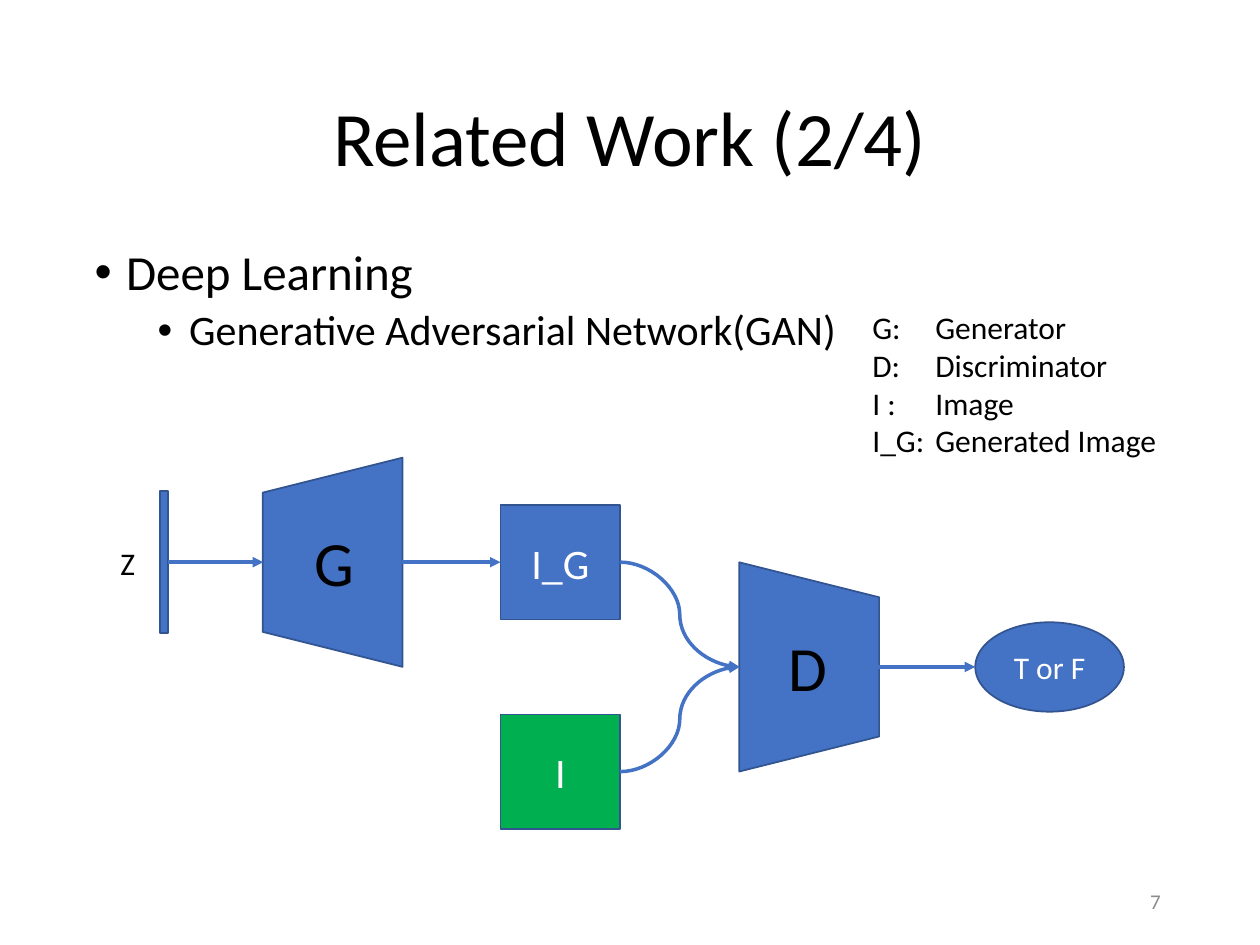
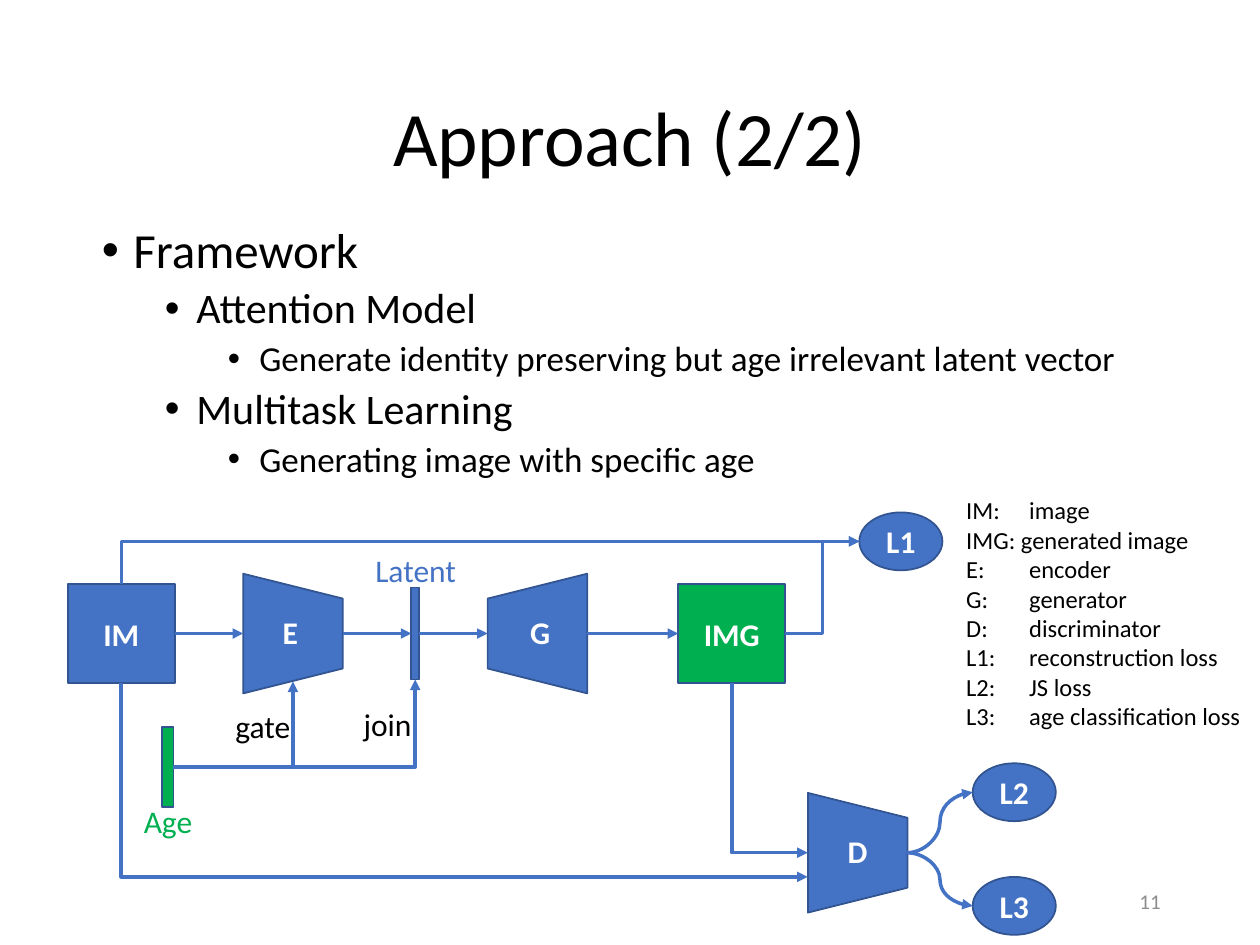
"""Build two slides on generative networks: related work and approach."""
import pptx
import pptx.dml.color
import pptx.enum.shapes
import pptx.enum.text
import pptx.oxml.ns
import pptx.util
from lxml import etree

COLORS = {"blue": "4472C4", "edge": "325491", "green": "00B050",
          "black": "000000", "white": "FFFFFF", "gray": "8C8C8C"}
FONT = "Calibri"
COLS, ROWS = 100, 75
WIDE, HIGH = pptx.util.Inches(10), pptx.util.Inches(7.5)
LEVELS = [28, 24, 20]
TOP, LEFT, BOTTOM, RIGHT = range(4)
OVAL_LEFT = 2
TURNS = {TOP: {"rot": "5400000", "flipH": "1", "flipV": "1"},
         BOTTOM: {"rot": "16200000", "flipH": "1"}}
KIND = pptx.enum.shapes.MSO_SHAPE
LINK = pptx.enum.shapes.MSO_CONNECTOR
ALIGN = pptx.enum.text.PP_ALIGN
ANCHOR = pptx.enum.text.MSO_ANCHOR


def col(count):
    return round(WIDE * count / COLS)


def row(count):
    return round(HIGH * count / ROWS)


def rgb(name):
    return pptx.dml.color.RGBColor.from_string(COLORS[name])


def add(parent, tag, **attrs):
    return etree.SubElement(parent, pptx.oxml.ns.qn(tag), **attrs)


def style(par, size, color, bold=False, align=ALIGN.LEFT):
    par.alignment = align
    par.font.name = FONT
    par.font.size = pptx.util.Pt(size)
    par.font.bold = bold
    par.font.color.rgb = rgb(color)


def frame(slide, x, y, w, h, anchor=ANCHOR.TOP):
    box = slide.shapes.add_textbox(col(x), row(y), col(w), row(h))
    box.text_frame.word_wrap = True
    box.text_frame.vertical_anchor = anchor
    return box.text_frame


def fill(text, lines):
    text.text = "\n".join(lines)
    return text.paragraphs


def label(slide, words, x, y, w, size=18, color="black", bold=False):
    text = frame(slide, x, y, w, size * 0.22)
    style(fill(text, [words])[0], size, color, bold)


def legend(slide, lines, x, y, w, h, size):
    for par in fill(frame(slide, x, y, w, h), lines):
        tabs = add(par._p.get_or_add_pPr(), "a:tabLst")
        add(tabs, "a:tab", pos=str(col(5)), algn="l")
        style(par, size, "black")


def bullets(slide, items, x, y):
    text = frame(slide, x, y, 86.2, 47.6)
    pars = fill(text, [words for _, words in items])
    for place, (par, (level, _)) in enumerate(zip(pars, items)):
        props = par._p.get_or_add_pPr()
        props.set("marL", str(col(2.5 + 5 * level)))
        props.set("indent", str(-col(2.5)))
        add(props, "a:buFont", typeface="Arial")
        add(props, "a:buChar", char="•")
        par.level = level
        par.line_spacing = 0.9
        par.space_before = pptx.util.Pt(5 if place else 0)
        style(par, LEVELS[level], "black")


def page(deck, title, number):
    slide = deck.slides.add_slide(deck.slide_layouts[6])
    head = fill(frame(slide, 6.9, 4, 86.2, 14.5, ANCHOR.MIDDLE), [title])[0]
    head.line_spacing = 0.9
    style(head, 44, "black", align=ALIGN.CENTER)
    foot = frame(slide, 70.6, 69.5, 22.5, 4, ANCHOR.MIDDLE)
    style(fill(foot, [str(number)])[0], 12, "gray", align=ALIGN.RIGHT)
    return slide


def node(slide, kind, x, y, w, h, words="", color="blue", size=18, bold=False):
    """Draw a shape centred on a grid point."""
    shape = slide.shapes.add_shape(
        kind, col(x - w / 2), row(y - h / 2), col(w), row(h))
    shape.shadow.inherit = False
    shape.fill.solid()
    shape.fill.fore_color.rgb = rgb(color)
    shape.line.color.rgb = rgb("edge")
    shape.line.width = pptx.util.Pt(1)
    if words:
        text = shape.text_frame
        text.margin_left = text.margin_right = 0
        text.word_wrap = True
        text.vertical_anchor = ANCHOR.MIDDLE
        style(fill(text, [words])[0], size, "white", bold, ALIGN.CENTER)
    return shape


def funnel(slide, x, y, w, h, turn):
    node(slide, KIND.TRAPEZOID, x, y, w, h).rotation = turn


def link(slide, start, end, kind=LINK.STRAIGHT):
    """Join two ends, each a grid point or a shape with its side."""
    glued = [hasattr(tip[0], "shape_id") for tip in (start, end)]
    (x1, y1), (x2, y2) = [(0, 0) if glue else tip
                          for glue, tip in zip(glued, (start, end))]
    line = slide.shapes.add_connector(kind, col(x1), row(y1), col(x2), row(y2))
    if glued[0]:
        line.begin_connect(*start)
    if glued[1]:
        line.end_connect(*end)
    line.line.color.rgb = rgb("blue")
    line.line.width = pptx.util.Pt(2)
    add(line.line._get_or_add_ln(), "a:tailEnd", type="triangle")
    add(line._element.spPr, "a:effectLst")
    return line


def elbow(slide, start, end, oval=None):
    """Draw a bent arrow, glued to the left of an oval if one is given."""
    line = link(slide, start, end, LINK.ELBOW)
    if oval:
        line.end_connect(oval, OVAL_LEFT)
        line.end_x, line.end_y = col(end[0]), row(end[1])
    return line


def corner(slide, start, end, oval=None):
    """Draw an arrow with one corner that leaves from the start's side."""
    line = elbow(slide, start, end, oval)
    props = line._element.spPr
    props.find(pptx.oxml.ns.qn("a:prstGeom")).set("prst", "bentConnector2")
    turn = TURNS.get(start[1])
    if turn:
        w, h = line.width, line.height
        line.left += (w - h) // 2
        line.top += (h - w) // 2
        line.width, line.height = h, w
        place = props.find(pptx.oxml.ns.qn("a:xfrm"))
        for name, value in turn.items():
            place.set(name, value)
        if "flipV" not in turn:
            place.attrib.pop("flipV", None)


def related(deck):
    slide = page(deck, "Related Work (2/4)", 7)
    bullets(slide, [(0, "Deep Learning"),
                    (1, "Generative Adversarial Network(GAN)")], 6.53, 19.18)
    upper, lower = 44.62, 61.25
    mid = (upper + lower) / 2
    noise = node(slide, KIND.RECTANGLE, 13.02, upper, 0.6, 11.3)
    funnel(slide, 26.4, upper, 16.6, 11.1, 270)
    fake, _ = [
        node(slide, KIND.RECTANGLE, 44.48, y, 9.5, 9.1, words, color, 24)
        for y, words, color in ((upper, "I_G", "blue"), (lower, "I", "green"))]
    funnel(slide, 64.22, mid, 16.6, 11.1, 90)
    node(slide, KIND.OVAL, 83.3, mid, 11.8, 7.1, "T or F")
    link(slide, (noise, RIGHT), (20.9, upper))
    link(slide, (31.9, upper), (fake, LEFT))
    for y in (upper, lower):
        link(slide, (49.2, y), (58.7, mid), LINK.CURVE)
    link(slide, (69.7, mid), (77.4, mid))
    label(slide, "Z", 8.57, 42.7, 3)
    label(slide, "G", 24, 41.1, 6.7, 36)
    label(slide, "D", 61.6, 49.4, 6.7, 36)
    legend(slide, ["G:\tGenerator", "D:\tDiscriminator", "I :\tImage",
                   "I_G:\tGenerated Image"], 68.25, 23.95, 26.5, 13.1, 18)


def approach(deck):
    slide = page(deck, "Approach (2/2)", 11)
    bullets(slide, [
        (0, "Framework"), (1, "Attention Model"),
        (2, "Generate identity preserving but age irrelevant latent vector"),
        (1, "Multitask Learning"),
        (2, "Generating image with specific age")], 7.1, 17.43)
    legend(slide, ["IM:\timage", "IMG: generated image", "E:\tencoder",
                   "G:\tgenerator", "D:\tdiscriminator",
                   "L1:\treconstruction loss", "L2:\tJS loss",
                   "L3:\tage classification loss"], 75.7, 38.82, 24.3, 19.9, 14)
    main, top, judge, low = 50.28, 42.97, 67.68, 69.6
    image, made = [
        node(slide, KIND.RECTANGLE, x, main, 8.5, 7.9, words, color, bold=True)
        for x, words, color in ((9.62, "IM", "blue"), (58.08, "IMG", "green"))]
    latent = node(slide, KIND.RECTANGLE, 32.95, main, 0.6, 7.3)
    age = node(slide, KIND.RECTANGLE, 13.32, 60.88, 0.9, 6.4, color="green")
    for words, x, y, turn, left in (("E", 23.25, main, 90, 21.45),
                                    ("G", 42.65, main, 270, 41.1),
                                    ("D", 68.07, judge, 90, 66.3)):
        funnel(slide, x, y, 9.5, 7.9, turn)
        label(slide, words, left, y - 2.1, 3.4, color="white", bold=True)
    first, _, _ = [
        node(slide, KIND.OVAL, x, y, 6.6, 4.6, words, bold=True)
        for words, x, y in (("L1", 71.5, top), ("L2", 80.5, 62.88),
                            ("L3", 80.5, 71.9))]
    for start, end in (((image, RIGHT), (19.3, main)),
                       ((27.2, main), (latent, LEFT)),
                       ((latent, RIGHT), (38.7, main)),
                       ((46.6, main), (made, LEFT))):
        link(slide, start, end)
    corner(slide, (made, BOTTOM), (64.1, judge))
    corner(slide, (image, BOTTOM), (64.1, low))
    corner(slide, (age, RIGHT), (23.25, 54.1))
    corner(slide, (age, RIGHT), (latent, BOTTOM))
    elbow(slide, (made, RIGHT), (68.2, top), first)
    corner(slide, (image, TOP), (68.2, top), first)
    for y in (62.88, 71.9):
        link(slide, (72, judge), (77.2, y), LINK.CURVE)
    label(slide, "gate", 17.7, 55.6, 6.7)
    label(slide, "join", 27.87, 55.45, 6.7)
    label(slide, "Age", 10.43, 63.15, 6.7, color="green")
    label(slide, "Latent", 28.8, 43.25, 8.9, color="blue")


def main():
    deck = pptx.Presentation()
    deck.slide_width, deck.slide_height = WIDE, HIGH
    related(deck)
    approach(deck)
    deck.save("out.pptx")


if __name__ == "__main__":
    main()
